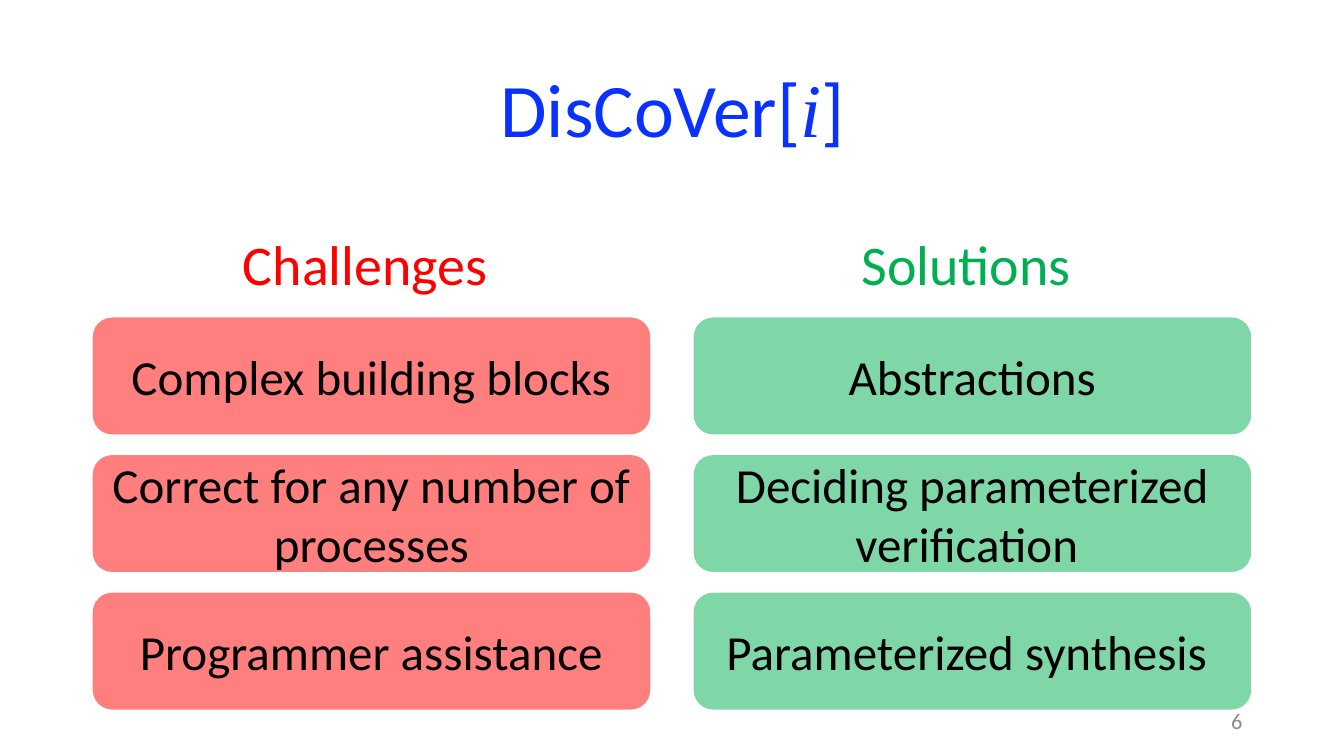
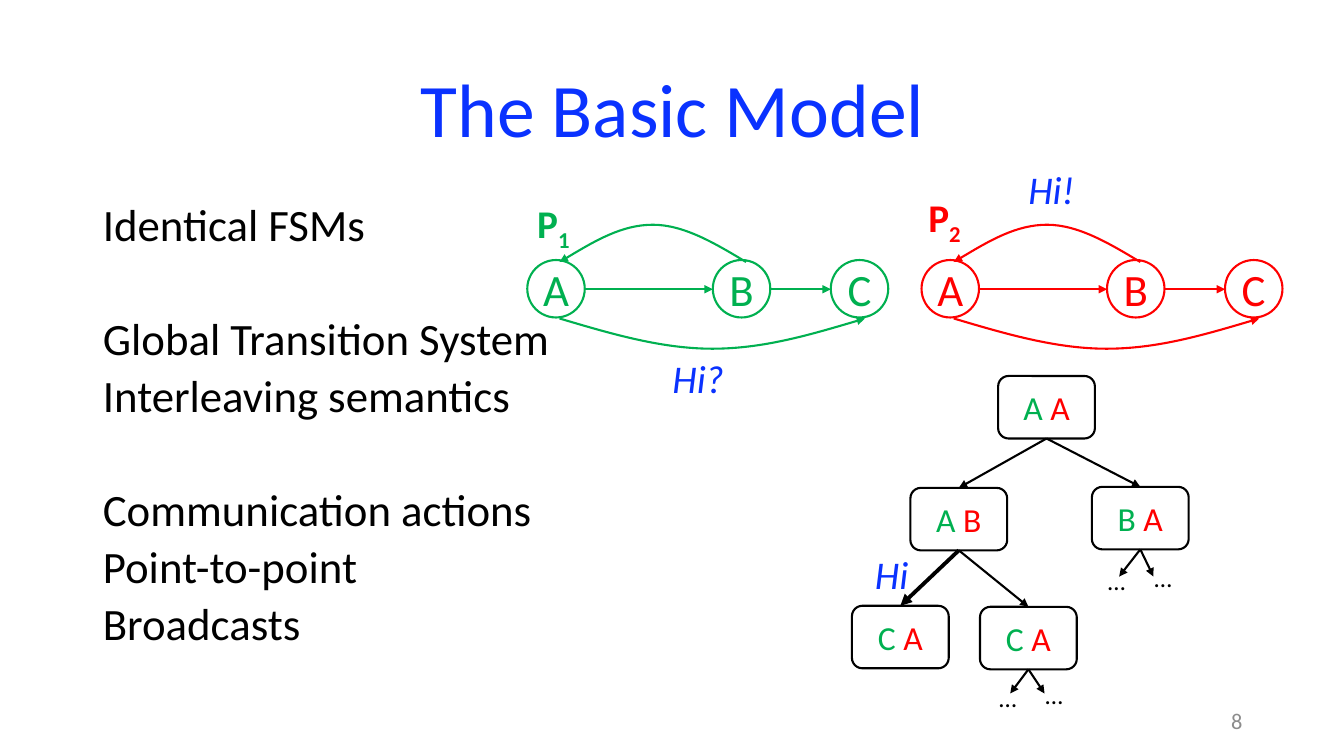
from lxml.etree import SubElement
from pptx import Presentation
from pptx.dml.color import RGBColor
from pptx.enum.shapes import MSO_CONNECTOR, MSO_SHAPE
from pptx.enum.text import MSO_ANCHOR, MSO_AUTO_SIZE, PP_ALIGN
from pptx.oxml.ns import qn
from pptx.util import Inches, Pt

FONT = "Calibri"
BLUE, RED, GREEN = "0A32FF", "FF0000", "00B050"
BLACK, WHITE, GREY = "000000", "FFFFFF", "8C8C8C"
TITLE_ONLY, TITLE_BODY = 5, 1
LEFT, RIGHT = 0.92, 6.88
NODE_W, NODE_H, STATE = 0.96, 0.62, 0.57


def rgb(color):
    return RGBColor.from_string(color)


def box(*lengths):
    return [Inches(v) for v in lengths]


# Text
def add_run(p, text, size, color, name=FONT, bold=False, italic=False):
    r = p.add_run()
    r.text = text
    r.font.name, r.font.size = name, Pt(size)
    r.font.bold, r.font.italic = bold, italic
    r.font.color.rgb = rgb(color)
    return r


def add_text(s, text, at, size, color, align=PP_ALIGN.LEFT, wrap=True, **style):
    tf = s.shapes.add_textbox(*box(*at)).text_frame
    tf.word_wrap = wrap
    p = tf.paragraphs[0]
    p.alignment = align
    add_run(p, text, size, color, **style)
    return tf


def place(ph, at, anchor):
    ph.left, ph.top, ph.width, ph.height = box(*at)
    tf = ph.text_frame
    tf.auto_size, tf.vertical_anchor = MSO_AUTO_SIZE.NONE, anchor
    return tf


def add_slide(prs, layout, title, number):
    s = prs.slides.add_slide(prs.slide_layouts[layout])
    tf = place(s.shapes.title, (LEFT, 0.4, 11.5, 1.45), MSO_ANCHOR.MIDDLE)
    p = tf.paragraphs[0]
    p.alignment, p.line_spacing = PP_ALIGN.CENTER, 0.9
    for text, style in title:
        add_run(p, text, 54, BLUE, **style)
    tf = add_text(s, number, (9.42, 6.95, 3, 0.4), 16, GREY, PP_ALIGN.RIGHT)
    tf.vertical_anchor = MSO_ANCHOR.MIDDLE
    return s


def add_list(s, items):
    """Fill the body placeholder with (text, space before) items."""
    tf = place(s.placeholders[1], (LEFT, 2, 11.5, 4.76), MSO_ANCHOR.TOP)
    for i, (text, space) in enumerate(items):
        p = tf.add_paragraph() if i else tf.paragraphs[0]
        pPr = p._p.get_or_add_pPr()
        pPr.set("marL", "0")
        pPr.set("indent", "0")
        SubElement(pPr, qn("a:buNone"))
        p.line_spacing, p.space_before = 0.8, Pt(space)
        add_run(p, text, 32, BLACK)


# Shapes
def add_block(s, kind, at, runs, size, fill, line=None, inset=None):
    sp = s.shapes.add_shape(kind, *box(*at))
    sp.shadow.inherit = False
    sp.fill.solid()
    sp.fill.fore_color.rgb = rgb(fill)
    if line:
        sp.line.color.rgb, sp.line.width = rgb(line), Pt(1.5)
    else:
        sp.line.fill.background()
    tf = sp.text_frame
    tf.word_wrap, tf.vertical_anchor = True, MSO_ANCHOR.MIDDLE
    if inset is not None:
        tf.margin_left = tf.margin_right = Inches(inset)
        tf.margin_top = tf.margin_bottom = Inches(inset)
    p = tf.paragraphs[0]
    p.alignment = PP_ALIGN.CENTER
    for text, color in runs:
        add_run(p, text, size, color)
    return sp


def add_card(s, x, y, text, color):
    sp = add_block(s, MSO_SHAPE.ROUNDED_RECTANGLE, (x, y, 5.53, 1.16),
                   [(text, BLACK)], 35, color)
    tint = sp.element.spPr.find(qn("a:solidFill"))[0]
    SubElement(tint, qn("a:alpha")).set("val", "50000")


def add_node(s, x, y, first, second):
    return add_block(s, MSO_SHAPE.ROUNDED_RECTANGLE, (x, y, NODE_W, NODE_H),
                     [(first + " ", GREEN), (second, RED)], 24, WHITE, BLACK)


# Lines and arrows
def style_arrow(line, color, width):
    line.color.rgb, line.width = rgb(color), Pt(width)
    SubElement(line._get_or_add_ln(), qn("a:tailEnd")).set("type", "triangle")


def add_arrow(s, x1, y1, x2, y2, color=BLACK, width=1.5):
    c = s.shapes.add_connector(MSO_CONNECTOR.STRAIGHT, *box(x1, y1, x2, y2))
    style_arrow(c.line, color, width)
    SubElement(c.element.spPr, qn("a:effectLst"))
    return c


def add_branch(s, parent, child, width=1.5):
    c = add_arrow(s, 0, 0, 1, 1, width=width)
    c.begin_connect(parent, 2)
    c.end_connect(child, 0)


def add_fan(s, node, x, y):
    """Two short arrows below a node, each leading to an ellipsis."""
    for tip, dots_x, dots_y in ((-0.22, -0.43, 0.11), (0.12, 0.03, 0.08)):
        add_arrow(s, x, y, x + tip, y + 0.27).begin_connect(node, 2)
        add_text(s, "…", (x + dots_x, y + dots_y, 0.38, 0.4), 18, BLACK, wrap=False)


def add_curve(s, x1, x2, y, peak, color):
    """An arched arrow made of two cubic segments."""
    mid = (y + peak) / 2
    heights = (y, mid, peak, peak, peak, mid, y)
    points = [box(x1 + (x2 - x1) * i / 6, h) for i, h in enumerate(heights)]
    fb = s.shapes.build_freeform(*points[0])
    fb.add_line_segments(points[1:], close=False)
    sp = fb.convert_to_shape()
    sp.shadow.inherit = False
    sp.fill.background()
    style_arrow(sp.line, color, 1.5)
    steps = list(sp.element.iter(qn("a:lnTo")))
    outline = steps[0].getparent()
    for i in (0, 3):
        bezier = SubElement(outline, qn("a:cubicBezTo"))
        for step in steps[i:i + 3]:
            bezier.append(step[0])
            outline.remove(step)


def add_machine(s, x, color):
    top, middle = 2.58, 2.87
    offsets = (0, 1.84, 3.01)
    for letter, dx in zip("ABC", offsets):
        add_block(s, MSO_SHAPE.OVAL, (x + dx, top, STATE, STATE),
                  [(letter, color)], 32, WHITE, color, inset=0)
    for start, end in zip(offsets, offsets[1:]):
        add_arrow(s, x + start + STATE, middle, x + end, middle, color)
    add_curve(s, x + 2.17, x + 0.32, 2.6, 2.23, color)
    add_curve(s, x + 0.32, x + 3.35, 3.16, 3.46, color)


def add_process_label(s, x, y, index, color):
    tf = add_text(s, "P", (x, y, 0.54, 0.57), 28, color, wrap=False, bold=True)
    r = add_run(tf.paragraphs[0], index, 28, color, bold=True)
    r.font._element.set("baseline", "-25000")


# Slides
def build_overview(prs):
    s = add_slide(prs, TITLE_ONLY, [
        ("DisCoVer[", {}),
        ("i", {"name": "Times New Roman", "italic": True}),
        ("]", {})], "6")
    columns = (
        (LEFT, RED, "Challenges ", ("Complex building blocks",
                                    "Correct for any number of processes",
                                    "Programmer assistance")),
        (RIGHT, GREEN, "Solutions ", ("Abstractions",
                                      "Deciding parameterized verification ",
                                      "Parameterized synthesis ")),
    )
    for x, color, heading, cards in columns:
        add_text(s, heading, (x, 2.23, 5.53, 0.77), 40, color, PP_ALIGN.CENTER)
        for i, text in enumerate(cards):
            add_card(s, x, 3.15 + 1.365 * i, text, color)


def build_model(prs):
    s = add_slide(prs, TITLE_BODY, [("The Basic Model", {})], "8")
    add_list(s, [("Identical FSMs", 0),
                 ("Global Transition System", 51),
                 ("Interleaving semantics", 10),
                 ("Communication actions", 51),
                 ("Point-to-point", 10),
                 ("Broadcasts", 10)])

    # The two state machines
    add_machine(s, 5.23, GREEN)
    add_machine(s, 9.14, RED)
    add_process_label(s, 5.23, 1.93, "1", GREEN)
    add_process_label(s, 9.11, 1.87, "2", RED)

    # Global transition tree
    root = add_node(s, 9.9, 3.73, "A", "A")
    left = add_node(s, 9.03, 4.84, "A", "B")
    right = add_node(s, 10.83, 4.83, "B", "A")
    synced = add_node(s, 8.45, 6.01, "C", "A")
    stepped = add_node(s, 9.72, 6.02, "C", "A")
    add_branch(s, root, left)
    add_branch(s, root, right)
    add_branch(s, left, synced, 2.75)
    add_branch(s, left, stepped)
    add_fan(s, right, 11.32, 5.45)
    add_fan(s, stepped, 10.24, 6.61)

    # Communication actions
    for text, at in (("Hi?", (6.57, 3.47, 0.95, 0.57)),
                     ("Hi!", (10.1, 1.59, 0.78, 0.57)),
                     ("Hi", (8.58, 5.41, 0.6, 0.57))):
        add_text(s, text, at, 28, BLUE, italic=True)


def main():
    prs = Presentation()
    prs.slide_width, prs.slide_height = box(13.33, 7.5)
    build_overview(prs)
    build_model(prs)
    prs.save("out.pptx")


if __name__ == "__main__":
    main()
